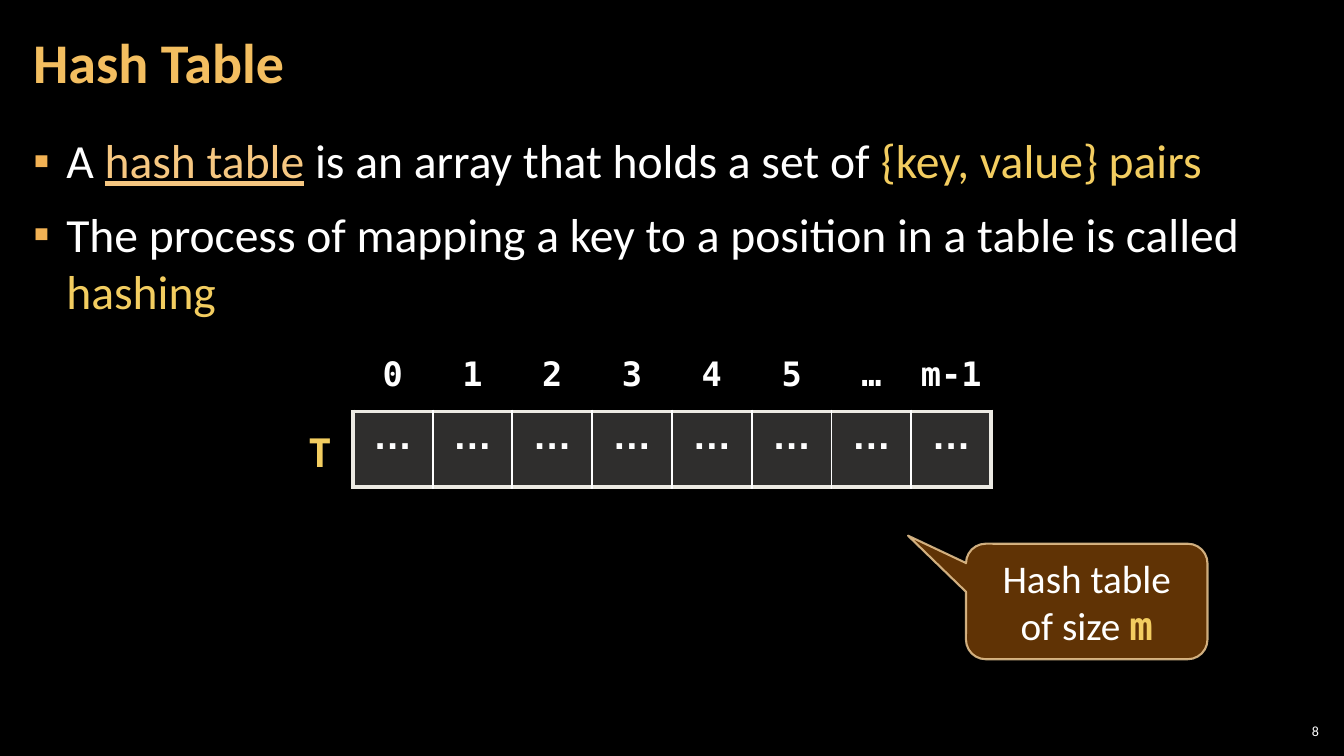
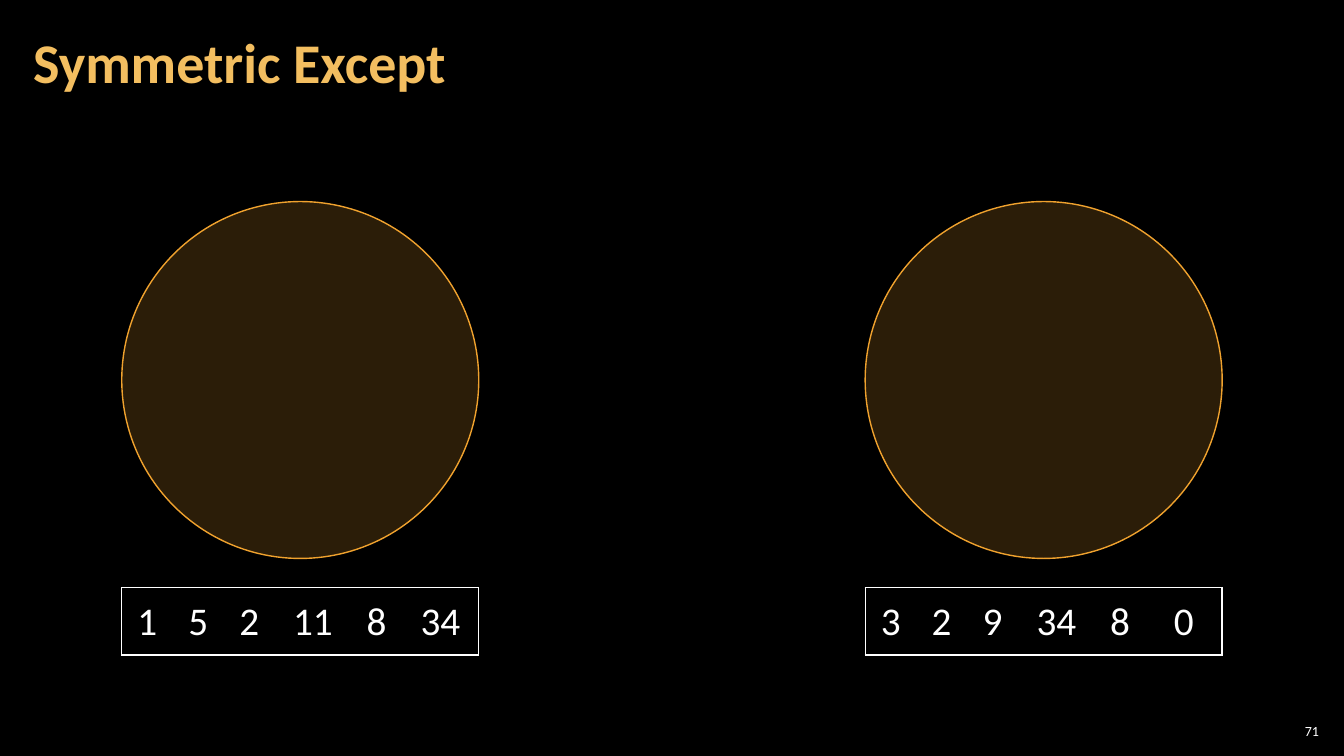
from lxml import etree
from pptx import Presentation
from pptx import util as u
from pptx.dml.color import RGBColor
from pptx.enum import shapes, text
from pptx.oxml.ns import qn

BLACK = RGBColor(0x00, 0x00, 0x00)
WHITE = RGBColor(0xFF, 0xFF, 0xFF)
GOLD = RGBColor(0xF3, 0xBE, 0x60)
YELLOW = RGBColor(0xF3, 0xCD, 0x60)
PEACH = RGBColor(0xF6, 0xC7, 0x81)
BULLET = RGBColor(0xF2, 0xB2, 0x54)
IVORY = RGBColor(0xEC, 0xEA, 0xE3)
BROWN = RGBColor(0x66, 0x36, 0x06)
SAND = RGBColor(0xF8, 0xD4, 0x9E)
ORANGE = RGBColor(0xF0, 0xA2, 0x2E)
SANS, ARIAL, MONO = "Calibri", "Arial", "DejaVu Sans Mono"
WIDTH, HEIGHT, COLUMNS = 13.33, 7.5, 64
PLAIN_TABLE = "{2D5ABB26-0587-4C30-8999-92F81FD0307C}"
CENTER, MIDDLE = text.PP_ALIGN.CENTER, text.MSO_ANCHOR.MIDDLE


def grid(*units):
    """Turn grid units into lengths."""
    return [u.Inches(unit * WIDTH / COLUMNS) for unit in units]


def add_span(para, words, size, color=WHITE, font=SANS, bold=False, underline=False):
    """Add one formatted run."""
    span = para.add_run()
    span.text = words
    span.font.size, span.font.name = u.Pt(size), font
    span.font.bold, span.font.underline = bold, underline
    span.font.color.rgb = color


def set_margins(holder, side, end):
    """Set the side and end margins of a text frame or cell, in inches."""
    holder.margin_left = holder.margin_right = u.Inches(side)
    holder.margin_top = holder.margin_bottom = u.Inches(end)


def add_text(page, box, margins=(0.1, 0.05), wrap=True):
    """Add a text box and return its frame."""
    frame = page.shapes.add_textbox(*grid(*box)).text_frame
    frame.word_wrap = wrap
    set_margins(frame, *margins)
    return frame


def fade(parent, percent):
    """Set the opacity of the solid fill directly inside an element."""
    color = parent.find(qn("a:solidFill"))[0]
    etree.SubElement(color, qn("a:alpha"), val=str(percent * 1000))


def add_figure(page, kind, box, fill, opacity, line, weight):
    """Add a translucent outlined shape."""
    figure = page.shapes.add_shape(kind, *grid(*box))
    figure.shadow.inherit = False
    figure.fill.solid()
    figure.fill.fore_color.rgb = fill
    fade(figure.element.spPr, opacity)
    figure.line.color.rgb, figure.line.width = line, u.Pt(weight)
    return figure


def add_border(properties, position, side, color, weight):
    """Insert one cell border ahead of the cell fill."""
    line = etree.Element(qn("a:ln" + side), w=str(u.Pt(weight)))
    fill = etree.SubElement(line, qn("a:solidFill"))
    etree.SubElement(fill, qn("a:srgbClr"), val=str(color))
    properties.insert(position, line)


def add_row(page, box, values, style, margins, shares=None, outer=None, inner=None, fill=None, anchor=None):
    """Add a one-row table with optional outer and inner borders."""
    count = len(values)
    shares = shares or [1] * count
    frame = page.shapes.add_table(1, count, *grid(*box))
    table = frame.table
    table.first_row = table.horz_banding = False
    next(frame.element.iter(qn("a:tableStyleId"))).text = PLAIN_TABLE
    for column, share in zip(table.columns, shares):
        column.width = grid(box[2] * share / sum(shares))[0]
    elements = frame.element.iter(qn("a:tc"))
    for index, (cell, element, value) in enumerate(zip(table.iter_cells(), elements, values)):
        set_margins(cell, *margins)
        cell.vertical_anchor = anchor
        para = cell.text_frame.paragraphs[0]
        para.alignment, para.line_spacing = CENTER, 0.95
        add_span(para, value, **style)
        properties = element.find(qn("a:tcPr"))
        if fill:
            cell.fill.solid()
            cell.fill.fore_color.rgb = fill
            fade(properties, 20)
        else:
            cell.fill.background()
        borders = {"L": inner if index else outer, "R": inner if index < count - 1 else outer, "T": outer, "B": outer}
        drawn = [(side, border) for side, border in borders.items() if border]
        for position, (side, border) in enumerate(drawn):
            add_border(properties, position, side, *border)


def add_page(deck, title, number):
    """Add a title-only slide with its title and slide number."""
    page = deck.slides.add_slide(deck.slide_layouts[5])
    holder = page.shapes.title
    holder.left, holder.top, holder.width, holder.height = grid(1, 0.2, 50.25, 5.8)
    frame = holder.text_frame
    frame.vertical_anchor, frame.word_wrap = MIDDLE, True
    set_margins(frame, 0.12, 0.04)
    para = frame.paragraphs[0]
    para.alignment, para.line_spacing = text.PP_ALIGN.LEFT, 0.9
    add_span(para, title, 40, GOLD, bold=True)
    frame = add_text(page, (60.7, 34.3, 2.3, 1), (0.04, 0.04))
    frame.vertical_anchor = MIDDLE
    para = frame.paragraphs[0]
    para.alignment = text.PP_ALIGN.RIGHT
    add_span(para, number, 10)
    return page


def add_bullets(page, box, items):
    """Add bulleted paragraphs made of styled runs."""
    frame = add_text(page, box, (0.12, 0.04))
    for index, spans in enumerate(items):
        para = frame.add_paragraph() if index else frame.paragraphs[0]
        para.space_before, para.space_after = u.Pt(6 if index else 0), u.Pt(6)
        properties = para._p.get_or_add_pPr()
        properties.set("marL", str(u.Inches(0.33)))
        properties.set("indent", str(-u.Inches(0.33)))
        color = etree.SubElement(properties, qn("a:buClr"))
        etree.SubElement(color, qn("a:srgbClr"), val=str(BULLET))
        etree.SubElement(properties, qn("a:buFont"), typeface=ARIAL)
        etree.SubElement(properties, qn("a:buChar"), char="▪")
        for words, color, underline in spans:
            add_span(para, words, 34, color, underline=underline)


def add_hash_array(page, box):
    """Draw the named array with its indices above the cells."""
    left, top, width, height = box
    start, cells_top, cell_height = left + 2.6, top + 2.8, 3.6
    indices = ["0", "1", "2", "3", "4", "5", "…", "m-1"]
    add_row(page, (start, cells_top, width - 2.6, cell_height), ["…"] * len(indices),
            dict(size=28, font=ARIAL, bold=True), (0.13, 0.05),
            outer=(IVORY, 3), inner=(WHITE, 1.5), fill=IVORY)
    add_row(page, (start, top, width - 2.6, 2.2), indices,
            dict(size=24, font=MONO, bold=True), (0.05, 0.04))
    para = add_text(page, (left, top + height - 3.05, 2, 2.75), wrap=False).paragraphs[0]
    para.alignment = CENTER
    add_span(para, "T", 28, YELLOW, MONO, True)


def add_size_callout(page, box):
    """Draw the callout that states the table size."""
    callout = add_figure(page, shapes.MSO_SHAPE.ROUNDED_RECTANGULAR_CALLOUT, box, BROWN, 95, SAND, 1.5)
    for index, value in enumerate((-0.74, -0.57, 0.17)):
        callout.adjustments[index] = value
    fade(callout.element.spPr.find(qn("a:ln")), 80)
    frame = callout.text_frame
    frame.word_wrap, frame.vertical_anchor = True, MIDDLE
    para = frame.paragraphs[0]
    para.alignment = CENTER
    add_span(para, "Hash table", 28)
    para.add_line_break()
    add_span(para, "of size ", 28)
    add_span(para, "m", 28, YELLOW, MONO, True)


def add_number_set(page, box, values):
    """Draw a circle above a framed row of numbers."""
    left, top, width, height = box
    add_figure(page, shapes.MSO_SHAPE.OVAL, (left, top, width, width), ORANGE, 18, ORANGE, 1)
    add_row(page, (left, top + height - 3.2, width, 3.2), values, dict(size=28), (0.13, 0.05),
            shares=[2, 2, 2, 3, 2, 3], outer=(WHITE, 1), anchor=MIDDLE)


def build_hash_table(deck):
    """Build the hash table slide."""
    page = add_page(deck, "Hash Table", "8")
    add_bullets(page, (1, 6.05, 62, 29.2), [
        [("A ", WHITE, False), ("hash table", PEACH, True), (" ", YELLOW, False),
         ("is an array that holds a set of ", WHITE, False), ("{key, value} pairs", YELLOW, False)],
        [("The process of mapping a key to a position in a table is called ", WHITE, False),
         ("hashing", YELLOW, False)],
    ])
    add_hash_array(page, (14.2, 16.8, 33, 6.4))
    add_size_callout(page, (46, 25.9, 11.5, 5.5))


def build_symmetric_except(deck):
    """Build the slide with two number sets."""
    page = add_page(deck, "Symmetric Except", "71")
    width, inset = 17, 5.8
    for left, values in ((inset, ["1", "5", "2", "11", "8", "34"]),
                         (COLUMNS - inset - width, ["3", "2", "9", "34", "8", "0"])):
        add_number_set(page, (left, 9.6, width, 21.6), values)


def main():
    """Build and save the deck."""
    deck = Presentation()
    deck.slide_width, deck.slide_height = u.Inches(WIDTH), u.Inches(HEIGHT)
    background = deck.slide_master.background.fill
    background.solid()
    background.fore_color.rgb = BLACK
    build_hash_table(deck)
    build_symmetric_except(deck)
    deck.save("out.pptx")


if __name__ == "__main__":
    main()
